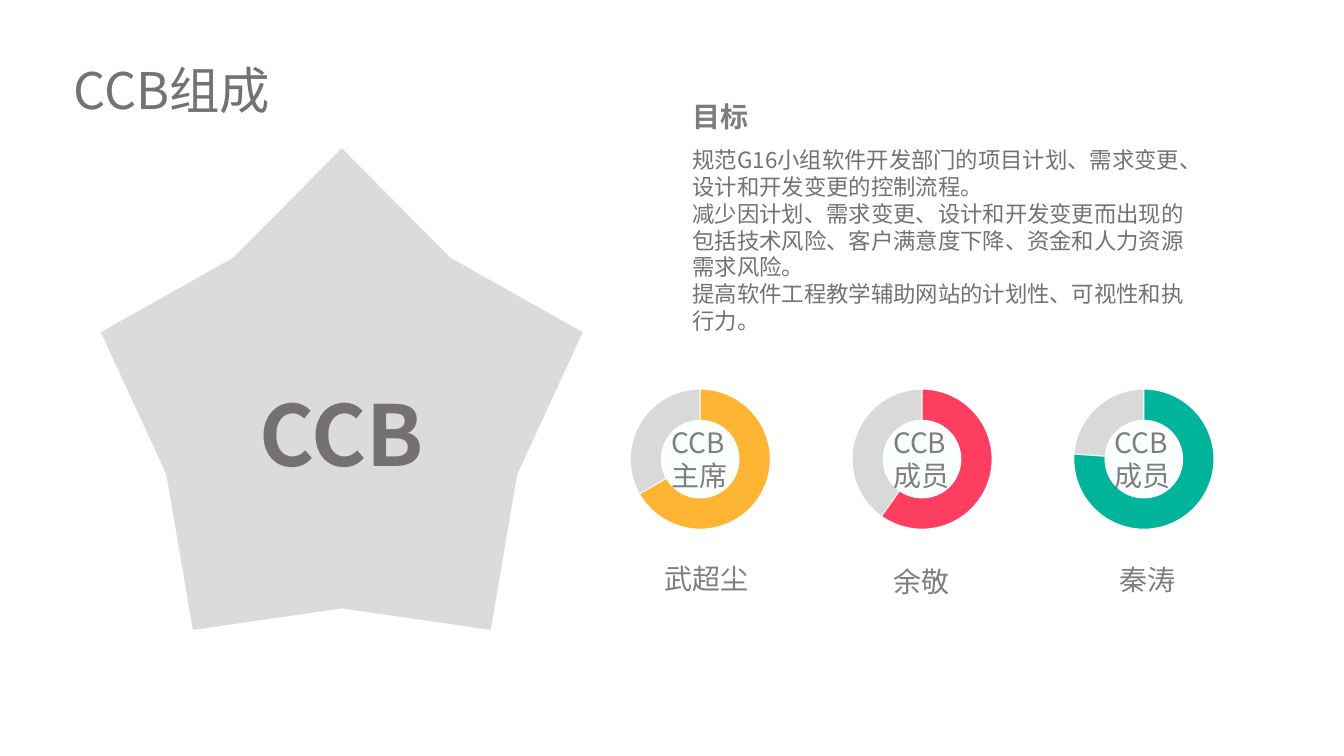
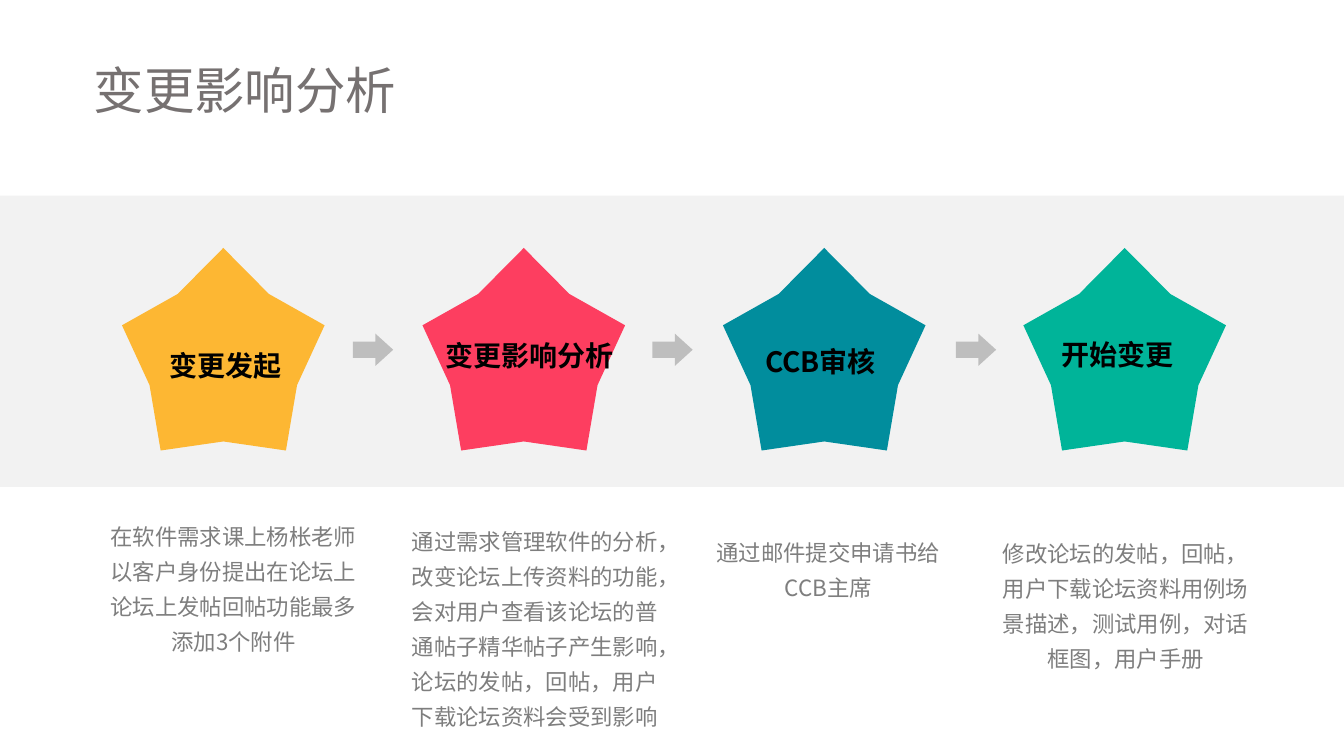
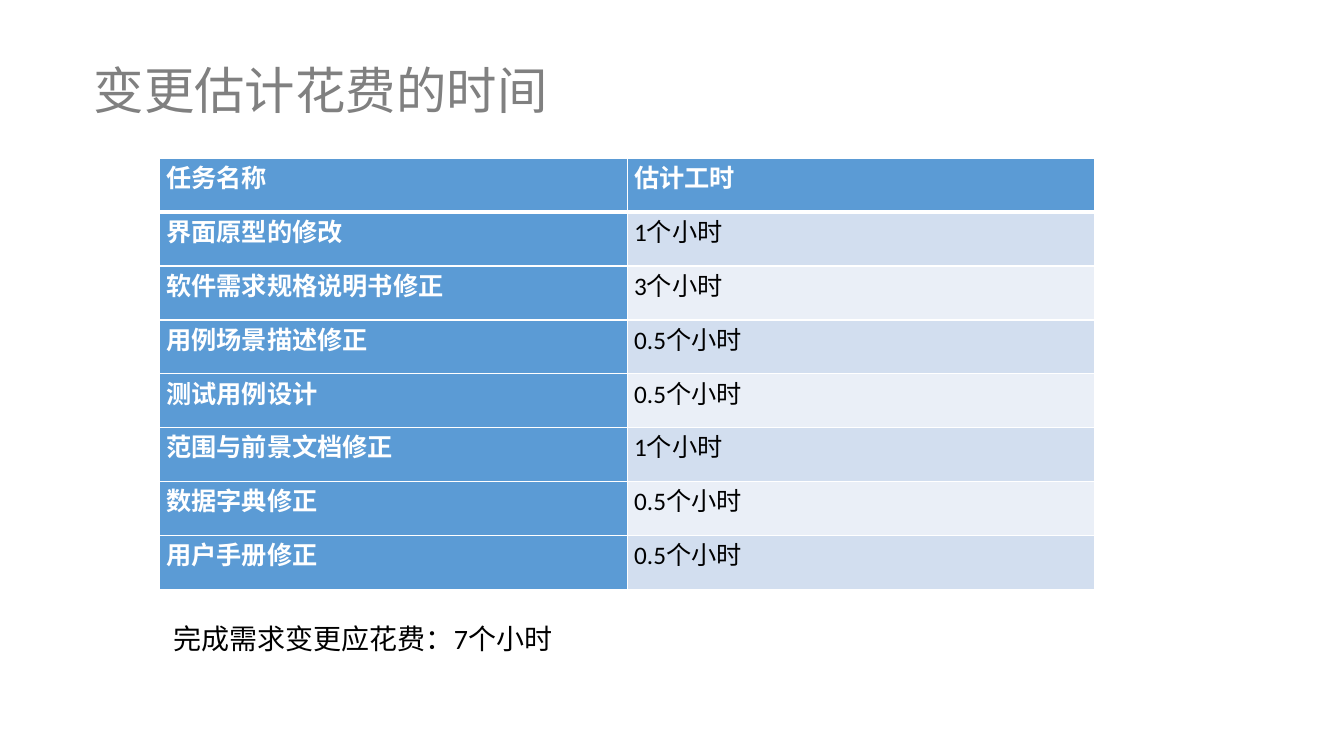
from lxml import etree
from pptx import Presentation
from pptx.dml.color import RGBColor
from pptx.enum.shapes import MSO_SHAPE as Shape
from pptx.enum.text import MSO_ANCHOR as Anchor, MSO_AUTO_SIZE as AutoSize, PP_ALIGN as Align
from pptx.oxml.ns import qn
from pptx.util import Inches, Pt

CJK_FONT = "Noto Sans CJK SC"
LATIN_FONT = "Calibri"

BLACK = RGBColor(0x00, 0x00, 0x00)
WHITE = RGBColor(0xFF, 0xFF, 0xFF)
DARK_GREY = RGBColor(0x76, 0x71, 0x71)
TITLE_GREY = RGBColor(0x80, 0x80, 0x80)
TEXT_GREY = RGBColor(0x7E, 0x7E, 0x7E)
STAR_GREY = RGBColor(0x4F, 0x4F, 0x4F)
RING_GREY = RGBColor(0xD9, 0xD9, 0xD9)
RING_CENTRE = RGBColor(0xFA, 0xFF, 0xFE)
BAND_GREY = RGBColor(0xF2, 0xF2, 0xF2)
ARROW_GREY = RGBColor(0xBE, 0xBE, 0xBE)
AMBER = RGBColor(0xFF, 0xB5, 0x34)
STEP_AMBER = RGBColor(0xFD, 0xB7, 0x33)
RED = RGBColor(0xFD, 0x3E, 0x60)
TEAL = RGBColor(0x01, 0x8D, 0x9D)
GREEN = RGBColor(0x00, 0xB4, 0x9B)
STEP_GREEN = RGBColor(0x00, 0xB4, 0x99)
TABLE_BLUE = RGBColor(0x5B, 0x9B, 0xD5)
ROW_FILLS = [RGBColor(0xD2, 0xDE, 0xEF), RGBColor(0xEA, 0xEF, 0xF7)]

STAR_DEPTH = 0.364
FULL_TURN = 216
RING_TOP = 162
GREY_SWEEP = 141.23


def write_text(text_frame, text, size, color, bold=False, align=Align.LEFT,
               wrap=True, spacing=None, font=CJK_FONT):
    text_frame.text = text
    text_frame.word_wrap = wrap
    if not wrap:
        text_frame.auto_size = AutoSize.SHAPE_TO_FIT_TEXT
    for paragraph in text_frame.paragraphs:
        paragraph.alignment = align
        if spacing:
            paragraph.line_spacing = spacing
        for run in paragraph.runs:
            run.font.name = font
            run.font.size = Pt(size)
            run.font.bold = bold
            run.font.color.rgb = color
            east_asian = etree.SubElement(run.font._element, qn("a:ea"))
            east_asian.set("typeface", CJK_FONT)


def add_filled(slide, kind, left, top, width, height, color, adjustments=(), outlined=False):
    shape = slide.shapes.add_shape(kind, Inches(left), Inches(top), Inches(width), Inches(height))
    shape.shadow.inherit = False
    shape.fill.solid()
    shape.fill.fore_color.rgb = color
    if outlined:
        shape.line.color.rgb = WHITE
        shape.line.width = Pt(0.75)
    else:
        shape.line.fill.background()
    for index, value in enumerate(adjustments):
        shape.adjustments[index] = value
    return shape


presentation = Presentation()
presentation.slide_width = Inches(13.33)
presentation.slide_height = Inches(7.5)

titles = [
    ("CCB组成", 0.63, DARK_GREY),
    ("变更影响分析", 0.83, DARK_GREY),
    ("变更估计花费的时间", 0.83, TITLE_GREY),
]
slides = []
for text, left, color in titles:
    slide = presentation.slides.add_slide(presentation.slide_layouts[5])
    title = slide.shapes.title
    title.left, title.top = Inches(left), Inches(0.54)
    title.width, title.height = Inches(5.34), Inches(0.71)
    write_text(title.text_frame, text, 36, color)
    title.text_frame.vertical_anchor = Anchor.TOP
    title.text_frame.auto_size = AutoSize.NONE
    slides.append(slide)
members_slide, process_slide, effort_slide = slides

goal_heading = members_slide.shapes.add_textbox(Inches(6.77), Inches(0.94), Inches(0.76), Inches(0.44))
write_text(goal_heading.text_frame, "目标", 20, TEXT_GREY, bold=True, wrap=False)
goals = [
    "规范G16小组软件开发部门的项目计划、需求变更、设计和开发变更的控制流程。",
    "减少因计划、需求变更、设计和开发变更而出现的包括技术风险、客户满意度下降、资金和人力资源需求风险。",
    "提高软件工程教学辅助网站的计划性、可视性和执行力。",
]
goal_box = members_slide.shapes.add_textbox(Inches(6.77), Inches(1.4), Inches(5.12), Inches(1.99))
write_text(goal_box.text_frame, "\n".join(goals), 16, DARK_GREY)

ccb_star = add_filled(members_slide, Shape.STAR_5_POINT, 1, 1.47, 4.78, 4.78, STAR_GREY, [STAR_DEPTH])
star_color = ccb_star.fill._xPr.find(qn("a:solidFill"))[0]
etree.SubElement(star_color, qn("a:alpha")).set("val", "20000")
write_text(ccb_star.text_frame, "CCB", 60, DARK_GREY, bold=True, align=Align.CENTER)
ccb_star.text_frame.vertical_anchor = Anchor.MIDDLE

members = [
    ("主席", "武超尘", AMBER, 144.17, 6.49, 5.52, 1.04),
    ("成员", "余敬", RED, 129.23, 8.76, 5.55, 0.76),
    ("成员", "秦涛", GREEN, 164.51, 11.01, 5.53, 0.76),
]
for index, (role, name, color, sweep, name_left, name_top, name_width) in enumerate(members):
    left = 6.25 + 2.2 * index
    add_filled(members_slide, Shape.PIE, left, 3.86, 1.39, 1.39, RING_GREY,
               [RING_TOP - GREY_SWEEP, RING_TOP], outlined=True)
    add_filled(members_slide, Shape.PIE, left, 3.86, 1.39, 1.39, color,
               [RING_TOP, (RING_TOP + sweep) % FULL_TURN], outlined=True)
    add_filled(members_slide, Shape.OVAL, left + 0.31, 4.17, 0.77, 0.77, RING_CENTRE, outlined=True)
    role_box = members_slide.shapes.add_textbox(Inches(left + 0.31), Inches(4.17), Inches(0.76), Inches(0.77))
    write_text(role_box.text_frame, f"CCB\n{role}", 20, TEXT_GREY, wrap=False)
    name_box = members_slide.shapes.add_textbox(
        Inches(name_left), Inches(name_top), Inches(name_width), Inches(0.44))
    write_text(name_box.text_frame, name, 20, TEXT_GREY, wrap=False)

add_filled(process_slide, Shape.RECTANGLE, 0, 1.94, 13.33, 2.89, BAND_GREY)
steps = [
    ("变更发起", STEP_AMBER, 1.58, 3.41, 1.38, 0.91, 5.06, 1.47,
     "在软件需求课上杨枨老师以客户身份提出在论坛上论坛上发帖回帖功能最多添加3个附件"),
    ("变更影响分析", RED, 4.32, 3.31, 1.88, 3.9, 5.11, 2.17,
     "通过需求管理软件的分析，改变论坛上传资料的功能，会对用户查看该论坛的普通帖子精华帖子产生影响，"
     "论坛的发帖，回帖，用户下载论坛资料会受到影响"),
    ("CCB审核", TEAL, 7.49, 3.37, 1.38, 6.81, 5.22, 0.77,
     "通过邮件提交申请书给CCB主席"),
    ("开始变更", STEP_GREEN, 10.43, 3.3, 1.38, 9.76, 5.23, 1.5,
     "修改论坛的发帖，回帖，用户下载论坛资料用例场景描述，测试用例，对话框图，用户手册"),
]
for index, (label, color, label_left, label_top, label_width,
            detail_left, detail_top, detail_height, detail) in enumerate(steps):
    add_filled(process_slide, Shape.STAR_5_POINT, 1.21 + 2.98 * index, 2.46, 2.01, 2.01,
               color, [STAR_DEPTH])
    label_box = process_slide.shapes.add_textbox(
        Inches(label_left), Inches(label_top), Inches(label_width), Inches(0.44))
    write_text(label_box.text_frame, label, 20, BLACK, bold=True)
    detail_box = process_slide.shapes.add_textbox(
        Inches(detail_left), Inches(detail_top), Inches(2.81), Inches(detail_height))
    write_text(detail_box.text_frame, detail, 16, TEXT_GREY, align=Align.CENTER, spacing=1.3)
for left in (3.5, 6.47, 9.48):
    add_filled(process_slide, Shape.RIGHT_ARROW, left, 3.31, 0.4, 0.32, ARROW_GREY, [0.5, 0.55])

efforts = [
    ("任务名称", "估计工时"),
    ("界面原型的修改", "1个小时"),
    ("软件需求规格说明书修正", "3个小时"),
    ("用例场景描述修正", "0.5个小时"),
    ("测试用例设计", "0.5个小时"),
    ("范围与前景文档修正", "1个小时"),
    ("数据字典修正", "0.5个小时"),
    ("用户手册修正", "0.5个小时"),
]
table = effort_slide.shapes.add_table(
    len(efforts), 2, Inches(1.58), Inches(1.57), Inches(9.28), Inches(4.28)).table
for row_index, row in enumerate(efforts):
    for column_index, text in enumerate(row):
        cell = table.cell(row_index, column_index)
        heading = row_index == 0 or column_index == 0
        cell.margin_left = cell.margin_right = Inches(0.07)
        cell.margin_top = cell.margin_bottom = 0
        write_text(cell.text_frame, text, 18, WHITE if heading else BLACK, bold=heading,
                   align=Align.JUSTIFY, font=LATIN_FONT)
        properties = cell._tc.get_or_add_tcPr()
        for side in ("L", "R", "T", "B"):
            thick = (row_index, side) in ((0, "B"), (1, "T"))
            border = etree.SubElement(properties, qn(f"a:ln{side}"), w=str(Pt(3 if thick else 1)))
            border_fill = etree.SubElement(border, qn("a:solidFill"))
            etree.SubElement(border_fill, qn("a:srgbClr"), val=str(WHITE))
        cell.fill.solid()
        cell.fill.fore_color.rgb = TABLE_BLUE if heading else ROW_FILLS[(row_index - 1) % 2]

total_box = effort_slide.shapes.add_textbox(Inches(1.62), Inches(6.11), Inches(3.99), Inches(0.44))
write_text(total_box.text_frame, "完成需求变更应花费：7个小时", 20, BLACK, font=LATIN_FONT)
total_box.text_frame.vertical_anchor = Anchor.MIDDLE

presentation.save("out.pptx")
